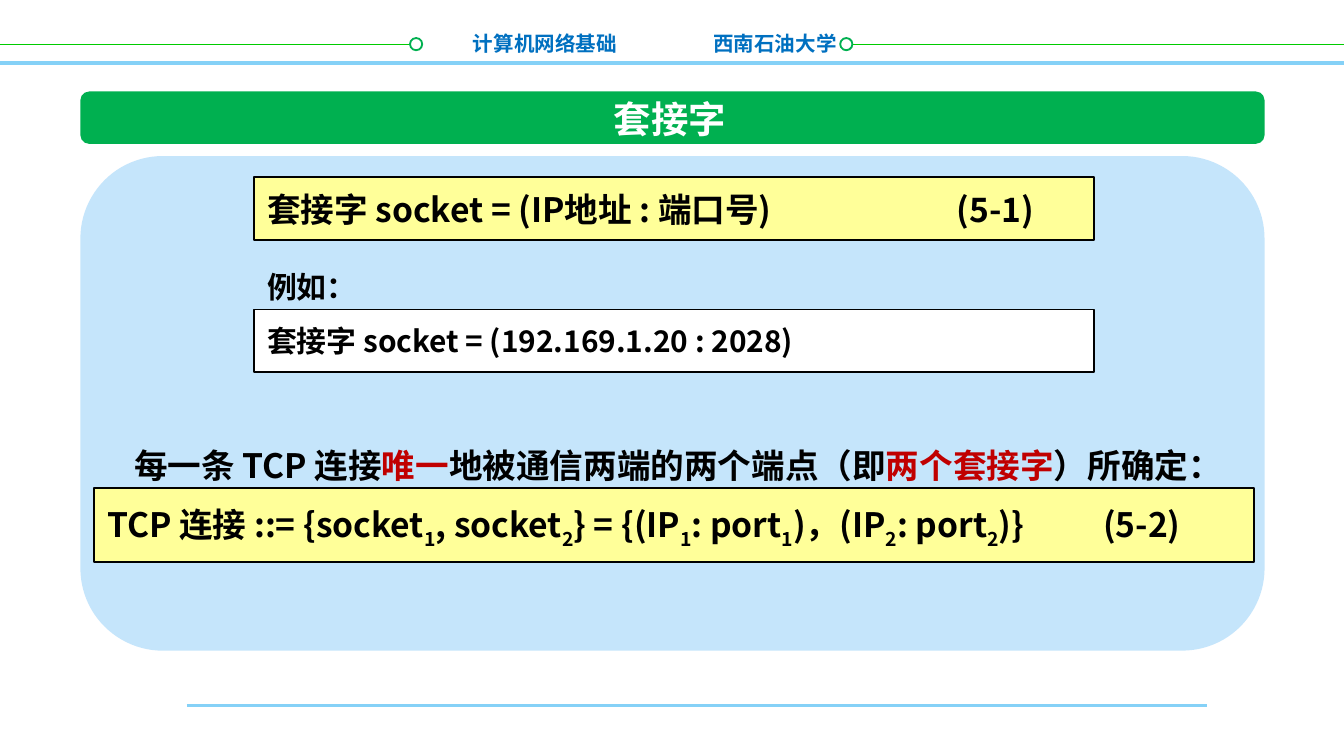
from lxml.etree import SubElement
from pptx import Presentation
from pptx.dml.color import RGBColor
from pptx.enum.shapes import MSO_CONNECTOR as Connector, MSO_SHAPE as Shape
from pptx.enum.text import MSO_ANCHOR as Anchor, MSO_AUTO_SIZE as AutoSize, PP_ALIGN as Align
from pptx.oxml.ns import qn
from pptx.util import Cm, Pt

FONT = "Noto Sans CJK SC"
COLORS = {
    "white": "FFFFFF", "black": "000000", "red": "C00000", "blue": "0070C0",
    "sky": "85D1F7", "panel": "C5E5FB", "lime": "00CC00", "green": "00B050",
    "yellow": "FFFF99",
}

# Content: a run is (text, style), style being "", "sub" or "red"
TITLE = "套接字"
HEADERS = [("计算机网络基础", 8.69, 3.35), ("西南石油大学", 13.23, 2.95)]
SOCKET_RULE = [("套接字 socket = (IP地址 : 端口号)\t(5-1)", "")]
EXAMPLE_LABEL = [("例如：", "")]
EXAMPLE = [("套接字 socket = (192.169.1.20 : 2028)", "")]
STATEMENT = [
    ("每一条 TCP 连接", ""), ("唯一", "red"), ("地被通信两端的两个端点（即", ""),
    ("两个套接字", "red"), ("）所确定：", ""),
]
CONNECTION_RULE = [
    ("TCP 连接 ::= {socket", ""), ("1", "sub"), (", socket", ""), ("2", "sub"),
    ("} = {(IP", ""), ("1", "sub"), (": port", ""), ("1", "sub"),
    (")，(IP", ""), ("2", "sub"), (": port", ""), ("2", "sub"), (")}\t(5-2)", ""),
]

# Lines: start x, end x, y in cm, colour, width in points
LINES = [
    (3.53, 22.81, 13.34, "sky", 1.5),
    (0, 25.4, 1.19, "sky", 2),
    (0, 7.87, 0.84, "lime", 1),
    (15.88, 25.4, 0.84, "lime", 1),
]
LINE_ENDS = [7.75, 15.88]
PANEL_LEFT, PANEL_WIDTH = 1.52, 22.38
BOX_LEFT, BOX_WIDTH, BOX_HEIGHT = 4.8, 15.88, 1.19


def rgb(name):
    return RGBColor.from_string(COLORS[name])


def add_line(slide, start, end, y, color, width):
    line = slide.shapes.add_connector(Connector.STRAIGHT, Cm(start), Cm(y), Cm(end), Cm(y))
    line.line.color.rgb = rgb(color)
    line.line.width = Pt(width)
    SubElement(line._element.spPr, qn("a:effectLst"))


def add_shape(slide, kind, left, top, width, height, fill, outline=None):
    shape = slide.shapes.add_shape(kind, Cm(left), Cm(top), Cm(width), Cm(height))
    shape.shadow.inherit = False
    shape.fill.solid()
    shape.fill.fore_color.rgb = rgb(fill)
    if outline:
        shape.line.color.rgb = rgb(outline)
        shape.line.width = Pt(1)
    else:
        shape.line.fill.background()
    return shape


def write(shape, runs, size, color="black", align=Align.LEFT, anchor=Anchor.MIDDLE,
          line_spacing=None, tab=None):
    """Fill the shape with one bold paragraph; tab is a tab stop in cm."""
    frame = shape.text_frame
    frame.word_wrap = True
    frame.auto_size = AutoSize.NONE
    frame.vertical_anchor = anchor
    paragraph = frame.paragraphs[0]
    paragraph.alignment = align
    if line_spacing:
        paragraph.line_spacing = line_spacing
    if tab:
        stops = SubElement(paragraph._p.get_or_add_pPr(), qn("a:tabLst"))
        SubElement(stops, qn("a:tab"), pos=str(Cm(tab)), algn="l")
    for text, style in runs:
        run = paragraph.add_run()
        run.text = text
        run.font.size = Pt(size)
        run.font.bold = True
        run.font.color.rgb = rgb("red" if style == "red" else color)
        run.font.name = FONT
        properties = run._r.get_or_add_rPr()
        SubElement(properties, qn("a:ea"), typeface=FONT)
        if style == "sub":
            properties.set("baseline", "-25000")


def add_text(slide, left, top, width, height, runs, size, **text_format):
    box = slide.shapes.add_textbox(Cm(left), Cm(top), Cm(width), Cm(height))
    write(box, runs, size, anchor=Anchor.TOP, **text_format)


def add_box(slide, left, top, width, height, fill, runs, size, **text_format):
    box = add_shape(slide, Shape.RECTANGLE, left, top, width, height, fill, "black")
    write(box, runs, size, **text_format)


def add_header(slide):
    for line in LINES:
        add_line(slide, *line)
    for left in LINE_ENDS:
        add_shape(slide, Shape.OVAL, left, 0.72, 0.23, 0.23, "white", "green")
    for text, left, width in HEADERS:
        add_text(slide, left, 0.46, width, 0.71, [(text, "")], 11, color="blue")


def add_title(slide):
    add_shape(slide, Shape.ROUNDED_RECTANGLE, PANEL_LEFT, 1.73, PANEL_WIDTH, 0.99, "green")
    title = slide.shapes.title
    title.left, title.top, title.width, title.height = Cm(9.8), Cm(1.68), Cm(5.72), Cm(1.12)
    write(title, [(TITLE, "")], 20, color="white", align=Align.CENTER)
    slide.shapes._spTree.append(title._element)  # in front of the bar


def add_content(slide):
    add_shape(slide, Shape.ROUNDED_RECTANGLE, PANEL_LEFT, 2.95, PANEL_WIDTH, 9.35, "panel")
    add_box(slide, BOX_LEFT, 3.35, BOX_WIDTH, BOX_HEIGHT, "yellow", SOCKET_RULE, 18, tab=13.03)
    add_text(slide, BOX_LEFT, 4.79, 15.47, 1.04, EXAMPLE_LABEL, 16, line_spacing=Pt(24))
    add_box(slide, BOX_LEFT, 5.85, BOX_WIDTH, BOX_HEIGHT, "white", EXAMPLE, 16)
    add_box(slide, 1.78, 9.22, 21.92, 1.4, "yellow", CONNECTION_RULE, 18,
            line_spacing=1.1, tab=18.82)
    add_text(slide, 2.29, 8.13, 20.88, 1.19, STATEMENT, 18, line_spacing=Pt(26))


def main():
    presentation = Presentation()
    presentation.slide_width, presentation.slide_height = Cm(25.4), Cm(14.29)
    slide = presentation.slides.add_slide(presentation.slide_layouts[5])
    add_header(slide)
    add_title(slide)
    add_content(slide)
    presentation.save("out.pptx")


if __name__ == "__main__":
    main()
